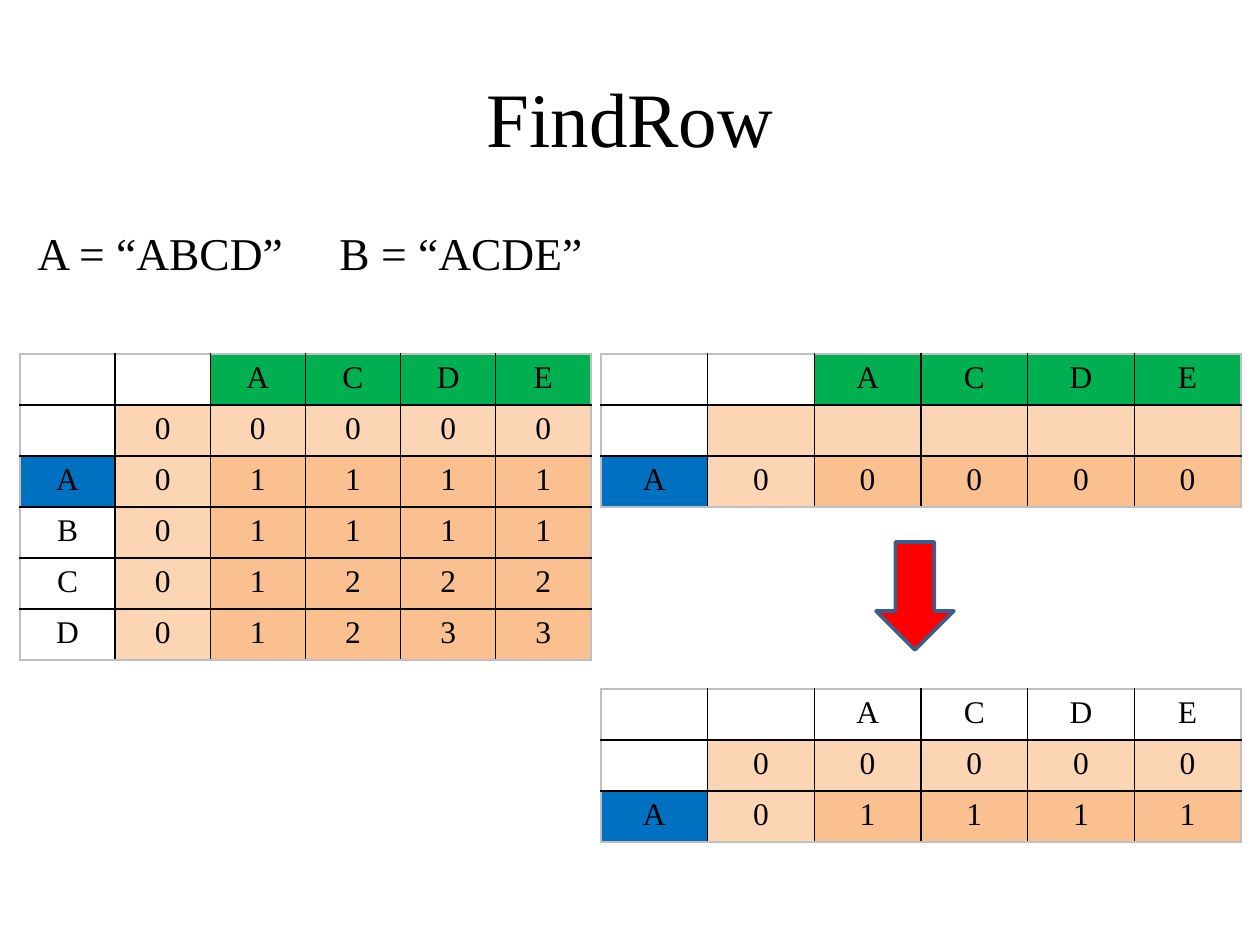
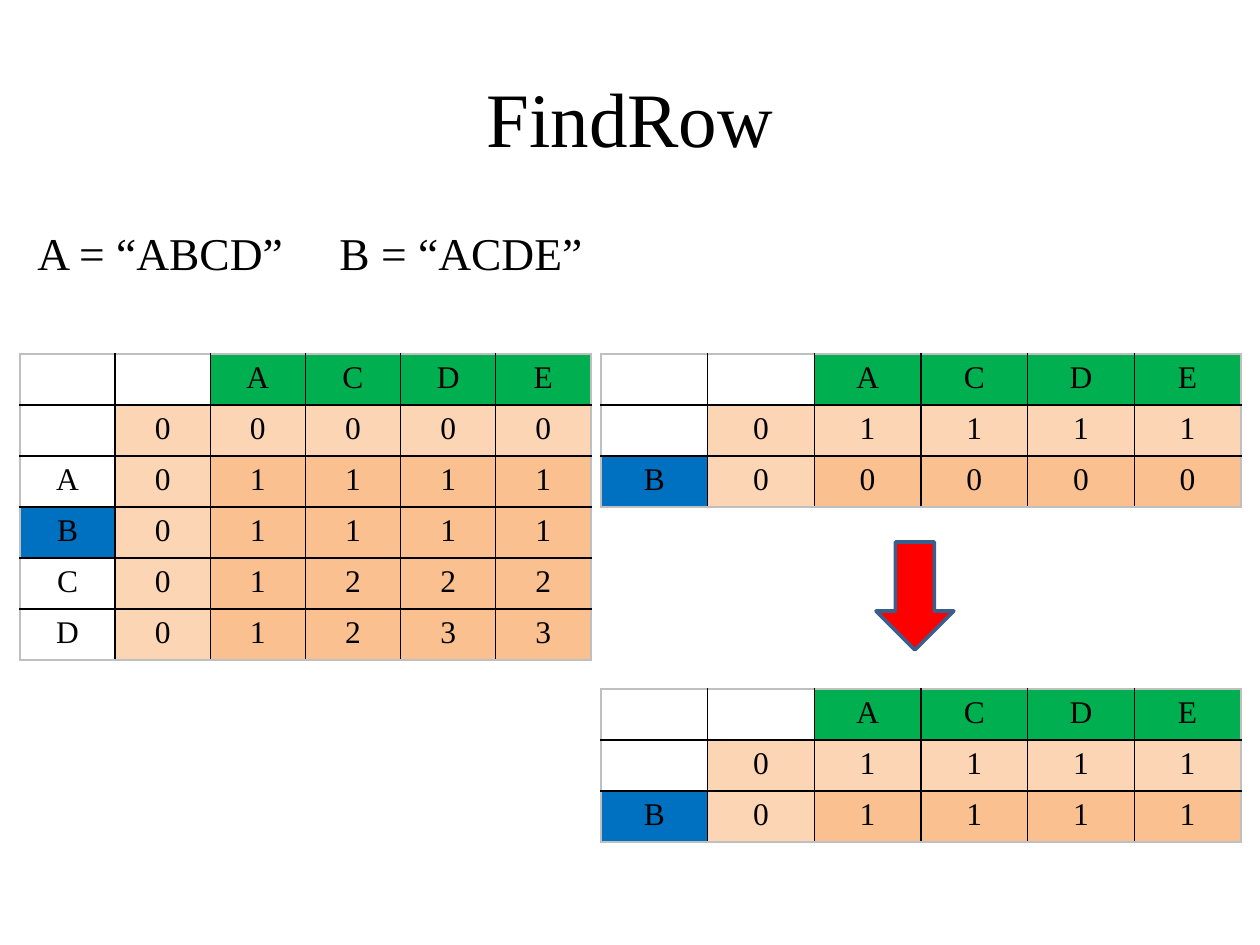
from lxml.etree import SubElement
from pptx import Presentation
from pptx.dml.color import RGBColor
from pptx.enum.shapes import MSO_SHAPE as Shape
from pptx.enum.text import MSO_ANCHOR as Anchor, PP_ALIGN as Align
from pptx.oxml.ns import qn
from pptx.util import Pt

FONT = "Times New Roman"
BLACK = RGBColor(0x00, 0x00, 0x00)
GREY = RGBColor(0xBF, 0xBF, 0xBF)
GREEN = RGBColor(0x00, 0xB0, 0x50)
BLUE = RGBColor(0x00, 0x70, 0xC0)
PALE_ORANGE = RGBColor(0xFC, 0xD5, 0xB5)
ORANGE = RGBColor(0xFA, 0xC0, 0x90)
RED = RGBColor(0xFF, 0x00, 0x00)
STEEL = RGBColor(0x3A, 0x5F, 0x8C)

TITLE = "FindRow"
STRINGS = "A = “ABCD”\tB = “ACDE”"
HEADER = "  ACDE"
FULL_GRID = [HEADER, " 00000", "A01111", "B01111", "C01222", "D01233"]
# One entry per slide: the letter being added, the two rows before and after,
# and whether the header of the result is coloured.
STEPS = [
    {"letter": "A", "before": ["      ", "A00000"],
     "after": [" 00000", "A01111"], "result_header": False},
    {"letter": "B", "before": [" 01111", "B00000"],
     "after": [" 01111", "B01111"], "result_header": True},
]

PAGE = (1260, 945)
TITLE_AREA = (63, 38, 1134, 158)
STRINGS_AREA = (25, 219, 576, 68)
SECOND_STRING_TAB = 302
ARROW_AREA = (876, 542, 78, 108)
FULL_PLACE = (20, 354, 571)
BEFORE_PLACE = (601, 354, 640)
AFTER_PLACE = (601, 689, 640)
ROW_HEIGHT = 51


def px(length):
    return round(length * 914400 / 126)


def style(para, size, align):
    para.alignment = align
    para.font.name = FONT
    para.font.size = Pt(size)
    para.font.color.rgb = BLACK


def add_text(page, area, text, size, align, wrap, tab=None):
    box = page.shapes.add_textbox(*map(px, area))
    frame = box.text_frame
    frame.word_wrap = wrap
    frame.vertical_anchor = Anchor.MIDDLE if wrap else Anchor.TOP
    para = frame.paragraphs[0]
    para.text = text
    if tab:
        tabs = SubElement(para._p.get_or_add_pPr(), qn("a:tabLst"))
        SubElement(tabs, qn("a:tab"), pos=str(px(tab)), algn="l")
    style(para, size, align)


def draw_borders(cell, outer_sides):
    """Draw grey lines on the table's outer sides and black lines inside."""
    properties = cell._tc.get_or_add_tcPr()
    for side in "LRTB":
        line = SubElement(properties, qn("a:ln" + side), w=str(Pt(1)))
        fill = SubElement(line, qn("a:solidFill"))
        color = GREY if side in outer_sides else BLACK
        SubElement(fill, qn("a:srgbClr"), val=str(color))


def cell_color(row, column, label, letter, green_header):
    if row == 0:
        return GREEN if column > 1 and green_header else None
    if column == 0:
        return BLUE if label == letter else None
    return PALE_ORANGE if row == 1 or column == 1 else ORANGE


def add_grid(page, place, rows, letter, green_header=True):
    left, top, width = place
    row_count, column_count = len(rows), len(HEADER)
    table = page.shapes.add_table(
        row_count, column_count, px(left), px(top),
        px(width), px(ROW_HEIGHT * row_count)).table
    table.first_row = table.horz_banding = False
    for row, values in enumerate(rows):
        for column, value in enumerate(values):
            cell = table.cell(row, column)
            outer_sides = [side for side, is_outer in (
                ("L", column == 0), ("R", column == column_count - 1),
                ("T", row == 0), ("B", row == row_count - 1)) if is_outer]
            draw_borders(cell, outer_sides)
            color = cell_color(row, column, values[0], letter, green_header)
            if color:
                cell.fill.solid()
                cell.fill.fore_color.rgb = color
            else:
                cell.fill.background()
            cell.text = value.strip()
            style(cell.text_frame.paragraphs[0], 18, Align.CENTER)


def add_arrow(page):
    arrow = page.shapes.add_shape(Shape.DOWN_ARROW, *map(px, ARROW_AREA))
    arrow.shadow.inherit = False
    arrow.fill.solid()
    arrow.fill.fore_color.rgb = RED
    arrow.line.color.rgb = STEEL
    arrow.line.width = Pt(2)


def main():
    deck = Presentation()
    deck.slide_width, deck.slide_height = map(px, PAGE)
    for step in STEPS:
        page = deck.slides.add_slide(deck.slide_layouts[6])
        letter = step["letter"]
        add_text(page, TITLE_AREA, TITLE, 44, Align.CENTER, wrap=True)
        add_grid(page, FULL_PLACE, FULL_GRID, letter)
        add_grid(page, BEFORE_PLACE, [HEADER] + step["before"], letter)
        add_grid(page, AFTER_PLACE, [HEADER] + step["after"], letter,
                 step["result_header"])
        add_arrow(page)
        add_text(page, STRINGS_AREA, STRINGS, 26, Align.LEFT, wrap=False,
                 tab=SECOND_STRING_TAB)
    deck.save("out.pptx")


if __name__ == "__main__":
    main()
